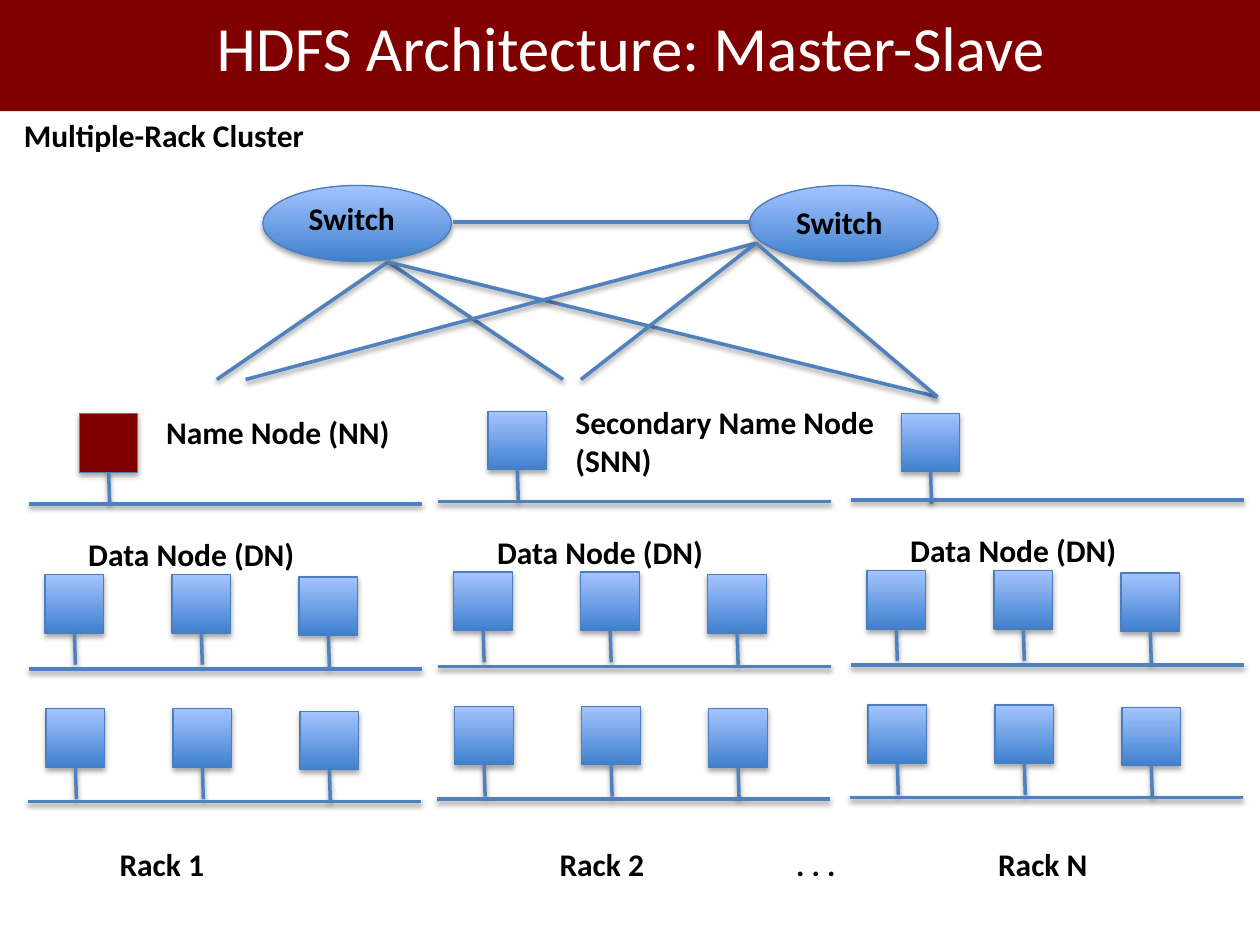
import pptx
import pptx.dml.color
import pptx.enum.shapes
import pptx.enum.text
import pptx.oxml
import pptx.oxml.ns
import pptx.util

Cm, Pt = pptx.util.Cm, pptx.util.Pt
SHAPE = pptx.enum.shapes.MSO_SHAPE
TEXT = pptx.enum.text

MAROON, LINK_BLUE, EDGE_BLUE = "800000", "4F81BD", "4B7EBC"
NODE_GRADIENT = ("3F80CE", "A4C4FF")
LABEL_FONT = {"name": "Calibri", "size": Pt(18), "bold": True}
TITLE_FONT = {"name": "Calibri", "size": Pt(36), "bold": False}

NODE_SIZE, NODE_PITCH, STEM = 1.18, 2.56, 0.64
BUS_LENGTH = 7.93

# Left end of the bus, vertical shift, extra drop of the top node,
# name, left of the name
RACKS = [
    (0.58, 0, 0, "Rack 1", 2.16),
    (8.82, -0.05, 0, "Rack 2", 11.03),
    (17.15, -0.08, 0.07, "Rack N", 19.87),
]


def colour(hex_value):
    return pptx.dml.color.RGBColor.from_string(hex_value)


def apply_format(target, values):
    for name, value in values.items():
        setattr(target, name, value)


def add_shadow(shape, distance, opacity):
    """Soft shadow straight below; call after fill and line are set."""
    effects = pptx.oxml.parse_xml(
        f'<a:effectLst {pptx.oxml.ns.nsdecls("a")}>'
        f'<a:outerShdw blurRad="{Pt(3.1)}" dist="{Pt(distance)}" dir="5400000" rotWithShape="0">'
        f'<a:srgbClr val="000000"><a:alpha val="{opacity * 1000}"/></a:srgbClr>'
        '</a:outerShdw></a:effectLst>')
    shape._element.spPr.append(effects)


def add_label(shapes, text, left, top, width, height=1.02):
    label = shapes.add_textbox(Cm(left), Cm(top), Cm(width), Cm(height))
    label.text_frame.text = text
    apply_format(label.text_frame, {
        "word_wrap": True, "auto_size": TEXT.MSO_AUTO_SIZE.SHAPE_TO_FIT_TEXT})
    font = label.text_frame.paragraphs[0].runs[0].font
    apply_format(font, LABEL_FONT)
    font.color.rgb = colour("000000")


def add_link(shapes, start, end):
    link = shapes.add_connector(
        pptx.enum.shapes.MSO_CONNECTOR.STRAIGHT, *map(Cm, start + end))
    link.line.width = Pt(2)
    link.line.color.rgb = colour(LINK_BLUE)
    add_shadow(link, 1.6, 38)


def add_device(shapes, kind, left, top, width, height, solid=None):
    device = shapes.add_shape(kind, Cm(left), Cm(top), Cm(width), Cm(height))
    if solid:
        device.fill.solid()
        device.fill.fore_color.rgb = colour(solid)
    else:
        device.fill.gradient()
        device.fill.gradient_angle = 90
        for stop, shade in zip(device.fill.gradient_stops, NODE_GRADIENT):
            stop.color.rgb = colour(shade)
    device.line.width = Pt(0.75)
    device.line.color.rgb = colour(EDGE_BLUE)
    add_shadow(device, 1.8, 35)


def add_node(shapes, left, top, solid=None):
    """A square machine with the stem that joins it to its bus."""
    add_device(shapes, SHAPE.RECTANGLE, left, top, NODE_SIZE, NODE_SIZE, solid)
    middle, bottom = left + NODE_SIZE / 2, top + NODE_SIZE
    add_link(shapes, (middle, bottom), (middle + 0.02, bottom + STEM))


def add_rack(shapes, left, shift, top_node_drop, name, name_left, top_fill):
    # Top node, then two rows of three data nodes
    add_node(shapes, left + 1.02, 8.34 + shift + top_node_drop, top_fill)
    for row_top, nudge in ((11.58, 0), (14.29, 0.02)):
        for column in range(3):
            drop = 0.05 if column == 2 else 0
            add_node(shapes, left + 0.33 + nudge + column * NODE_PITCH,
                     row_top + shift + drop)

    # Buses
    for bus_top, bus_left in ((10.16, left), (13.49, left), (16.16, left - 0.02)):
        add_link(shapes, (bus_left, bus_top + shift),
                 (bus_left + BUS_LENGTH, bus_top + shift))

    add_label(shapes, "Data Node (DN)", left + 0.95, 10.67 + shift, 5.33, 0.71)
    add_label(shapes, name, name_left, 16.92, 2.69)


def add_switches(shapes):
    for left, label_left, label_top in ((5.3, 5.97, 3.89), (15.11, 15.8, 3.97)):
        add_device(shapes, SHAPE.OVAL, left, 3.74, 3.8, 1.53)
        add_label(shapes, "Switch", label_left, label_top, 2.69)
    add_link(shapes, (9.14, 4.47), (15.11, 4.47))

    # Each switch reaches every rack
    left_port, right_port, last_rack = (7.82, 5.28), (15.24, 4.9), (18.9, 8)
    for port, rack_ends in (
            (left_port, ((4.37, 7.65), (11.35, 7.65), last_rack)),
            (right_port, ((4.95, 7.65), (11.71, 7.65), last_rack))):
        for rack_end in rack_ends:
            add_link(shapes, port, rack_end)


def format_title(title):
    apply_format(title, {"left": Cm(0), "top": Cm(-0.36),
                         "width": Cm(25.43), "height": Cm(2.6)})
    title.fill.solid()
    title.fill.fore_color.rgb = colour(MAROON)
    title.text_frame.text = "HDFS Architecture: Master-Slave"
    apply_format(title.text_frame, {
        "auto_size": TEXT.MSO_AUTO_SIZE.NONE,
        "vertical_anchor": TEXT.MSO_ANCHOR.MIDDLE})
    heading = title.text_frame.paragraphs[0]
    heading.alignment = TEXT.PP_ALIGN.CENTER
    apply_format(heading.runs[0].font, TITLE_FONT)
    heading.runs[0].font.color.rgb = colour("FFFFFF")


def main():
    deck = pptx.Presentation()
    apply_format(deck, {"slide_width": Cm(25.4), "slide_height": Cm(19.05)})
    slide = deck.slides.add_slide(deck.slide_layouts.get_by_name("Title Only"))
    format_title(slide.shapes.title)
    add_label(slide.shapes, "Multiple-Rack Cluster", 0.23, 2.21, 6.43)

    # Network and racks; the first rack holds the name node
    add_switches(slide.shapes.add_group_shape().shapes)
    for number, rack in enumerate(RACKS):
        add_rack(slide.shapes.add_group_shape().shapes, *rack,
                 top_fill=MAROON if number == 0 else None)

    # Roles of the top nodes and the gap in the rack numbering
    add_label(slide.shapes, "Name Node (NN)", 3.1, 8.2, 5.33, 0.71)
    add_label(slide.shapes, "Secondary Name Node (SNN)", 11.35, 8, 8.15, 1.8)
    add_label(slide.shapes, ". . .", 15.8, 16.92, 1.7)

    deck.save("out.pptx")


if __name__ == "__main__":
    main()
